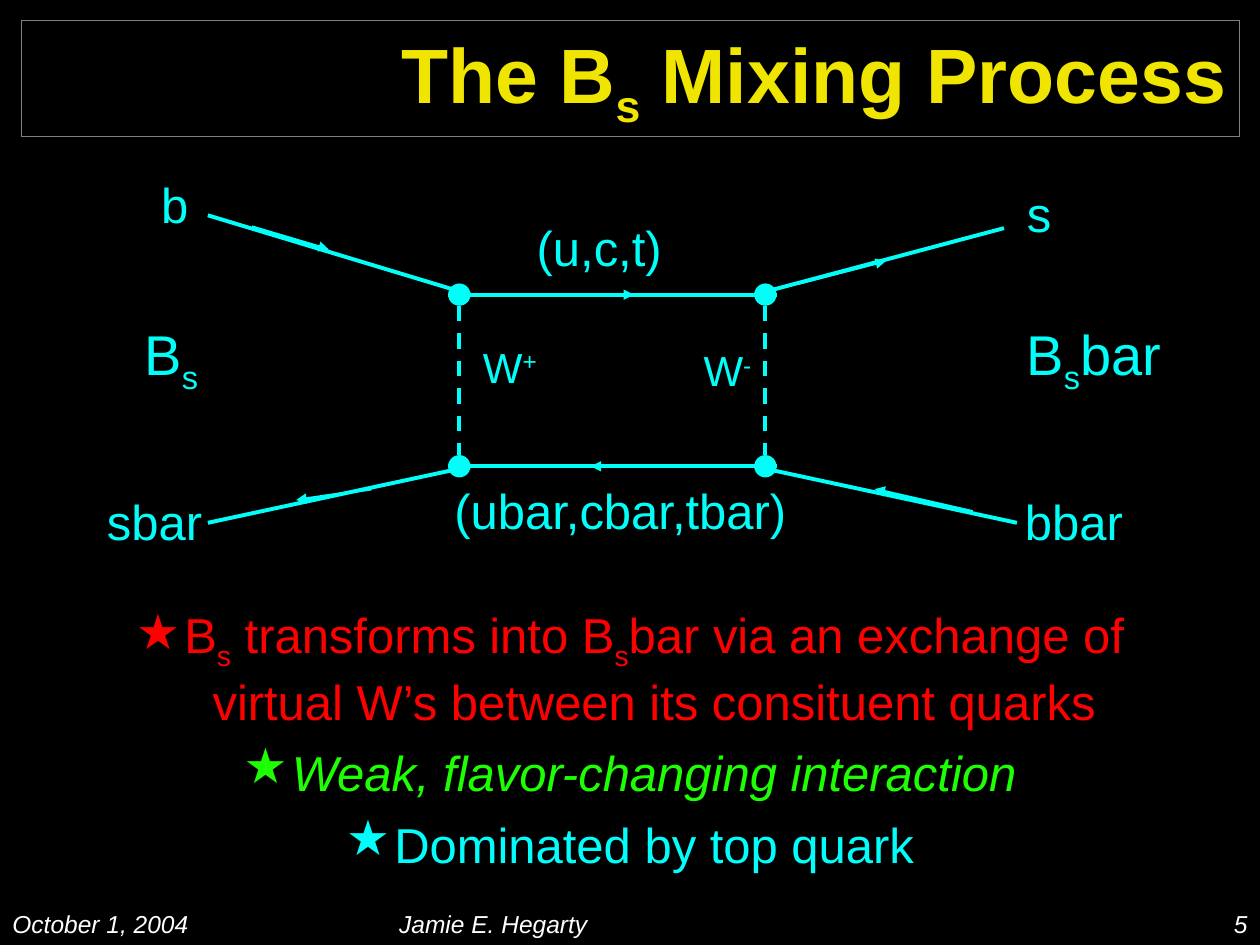
from lxml.etree import SubElement
from pptx import Presentation
from pptx.dml.color import RGBColor
from pptx.enum.dml import MSO_LINE
from pptx.enum.shapes import MSO_CONNECTOR, MSO_SHAPE
from pptx.enum.text import MSO_ANCHOR, MSO_AUTO_SIZE, PP_ALIGN
from pptx.oxml.ns import qn
from pptx.util import Cm, Pt

COLORS = {
    "background": "000000",
    "title": "F0E500",
    "frame": "808080",
    "diagram": "00FFF8",
    "red": "FF0000",
    "green": "1EFF04",
    "cyan": "00FFFC",
    "footer": "FFFFFF",
}


def write(paragraph, text, size=28, color="diagram", align=PP_ALIGN.CENTER,
          bold=False, italic=False, shift=-25000, bullet=None):
    """Fill a paragraph; every second part between bars is shifted off the baseline."""
    paragraph.alignment = align
    for index, part in enumerate(text.split("|")):
        if not part:
            continue
        run = paragraph.add_run()
        run.text = part
        run.font.name = "Arial"
        run.font.size = Pt(size)
        run.font.bold = bold
        run.font.italic = italic
        run.font.color.rgb = RGBColor.from_string(COLORS[color])
        if index % 2:
            run.font._element.set("baseline", str(shift))
    if bullet:
        paragraph.space_before = Pt(7)
        properties = paragraph._p.get_or_add_pPr()
        properties.set("marL", str(Cm(0.97)))
        properties.set("indent", str(-Cm(0.97)))
        bullet_color = SubElement(properties, qn("a:buClr"))
        SubElement(bullet_color, qn("a:srgbClr"), val=COLORS[color])
        SubElement(properties, qn("a:buChar"), char=bullet)


def draw_line(start, end, width=2.25, dash=None, arrow=False):
    line = slide.shapes.add_connector(
        MSO_CONNECTOR.STRAIGHT, *(Cm(value) for value in start + end))
    line.line.color.rgb = RGBColor.from_string(COLORS["diagram"])
    line.line.width = Pt(width)
    if dash:
        line.line.dash_style = dash
    if arrow:
        SubElement(line.line._get_or_add_ln(), qn("a:tailEnd"), type="triangle")
    SubElement(line._element.spPr, qn("a:effectLst"))


presentation = Presentation()
presentation.slide_width = Cm(25.4)
presentation.slide_height = Cm(19.05)
slide = presentation.slides.add_slide(presentation.slide_layouts[6])
slide.background.fill.solid()
slide.background.fill.fore_color.rgb = RGBColor.from_string(COLORS["background"])

# Title
title = slide.shapes.add_shape(
    MSO_SHAPE.RECTANGLE, Cm(0.43), Cm(0.42), Cm(24.56), Cm(2.34))
title.shadow.inherit = False
title.fill.background()
title.line.color.rgb = RGBColor.from_string(COLORS["frame"])
title.line.width = Pt(0.5)
title.text_frame.word_wrap = True
title.text_frame.vertical_anchor = MSO_ANCHOR.MIDDLE
write(title.text_frame.paragraphs[0], "The B|s| Mixing Process", size=44,
      color="title", align=PP_ALIGN.RIGHT, bold=True)

# Vertices of the box diagram
left, right = 9.26, 15.43
top, bottom = 5.94, 9.4
diameter = 0.45
radius = diameter / 2
for y in (top, bottom):
    for x in (left, right):
        vertex = slide.shapes.add_shape(
            MSO_SHAPE.OVAL, Cm(x - radius), Cm(y - radius), Cm(diameter), Cm(diameter))
        vertex.shadow.inherit = False
        vertex.fill.solid()
        vertex.fill.fore_color.rgb = RGBColor.from_string(COLORS["diagram"])
        vertex.line.fill.background()

# Inner quark lines and W exchanges
for y in (top, bottom):
    draw_line((left - radius, y), (right + radius, y))
for x in (left, right):
    draw_line((x, top + radius), (x, bottom - radius), dash=MSO_LINE.DASH)

# Outer quark lines
draw_line((4.19, 4.34), (left + radius, top))
draw_line((4.19, 10.54), (left + radius, bottom))
draw_line((right - radius, bottom), (20.5, 10.54))
draw_line((right - radius, top), (20.24, 4.6))

# Flow directions
for start, end in [
    ((5.08, 4.57), (6.63, 5.03)),
    ((11.02, top), (12.78, top)),
    ((16.08, 5.72), (17.86, 5.26)),
    ((7.49, 9.86), (5.97, 10.08)),
    ((13.44, bottom), (11.91, bottom)),
    ((19.61, 10.31), (17.63, 9.86)),
]:
    draw_line(start, end, width=1.5, arrow=True)

# Particle labels
for text, x, y, width, height, style in [
    ("B|s", 2.57, 6.32, 1.77, 1.8, {"size": 32}),
    ("B|s|bar", 20.35, 6.32, 3.4, 1.8, {"size": 32}),
    ("b", 3, 3.4, 1.6, 1.45, {"align": PP_ALIGN.LEFT}),
    ("bbar", 20.32, 9.78, 2.66, 1.45, {}),
    ("sbar", 1.81, 9.78, 2.61, 1.45, {}),
    ("s", 20.35, 3.58, 1.19, 1.45, {}),
    ("(u,c,t)", 10.47, 4.27, 3.22, 1.45, {}),
    ("(ubar,cbar,tbar)", 8.76, 9.57, 7.49, 1.45, {}),
    ("W|+", 9.37, 6.76, 1.82, 1.27, {"size": 24, "shift": 30000}),
    ("W|-", 13.82, 6.83, 1.69, 1.27, {"size": 24, "shift": 30000}),
]:
    label = slide.shapes.add_textbox(Cm(x), Cm(y), Cm(width), Cm(height))
    label.text_frame.word_wrap = False
    label.text_frame.auto_size = MSO_AUTO_SIZE.SHAPE_TO_FIT_TEXT
    write(label.text_frame.paragraphs[0], text, **style)

# Explanation
explanation = slide.shapes.add_textbox(Cm(1.27), Cm(12.07), Cm(22.86), Cm(5.72)).text_frame
explanation.word_wrap = True
for index, (text, color, italic) in enumerate([
    ("B|s| transforms into B|s|bar via an exchange of virtual W’s "
     "between its consituent quarks", "red", False),
    ("Weak, flavor-changing interaction", "green", True),
    ("Dominated by top quark", "cyan", False),
]):
    point = explanation.add_paragraph() if index else explanation.paragraphs[0]
    write(point, text, color=color, italic=italic, bullet="★")

# Footer
for text, x, width, align in [
    ("Jamie E. Hegarty", 5.92, 8.05, PP_ALIGN.CENTER),
    ("5", 15.04, 10.36, PP_ALIGN.RIGHT),
    ("October 1, 2004", 0, 4.88, PP_ALIGN.LEFT),
]:
    footer = slide.shapes.add_textbox(Cm(x), Cm(18.21), Cm(width), Cm(0.84))
    footer.text_frame.word_wrap = True
    write(footer.text_frame.paragraphs[0], text, size=14, color="footer",
          align=align, italic=True)

presentation.save("out.pptx")
